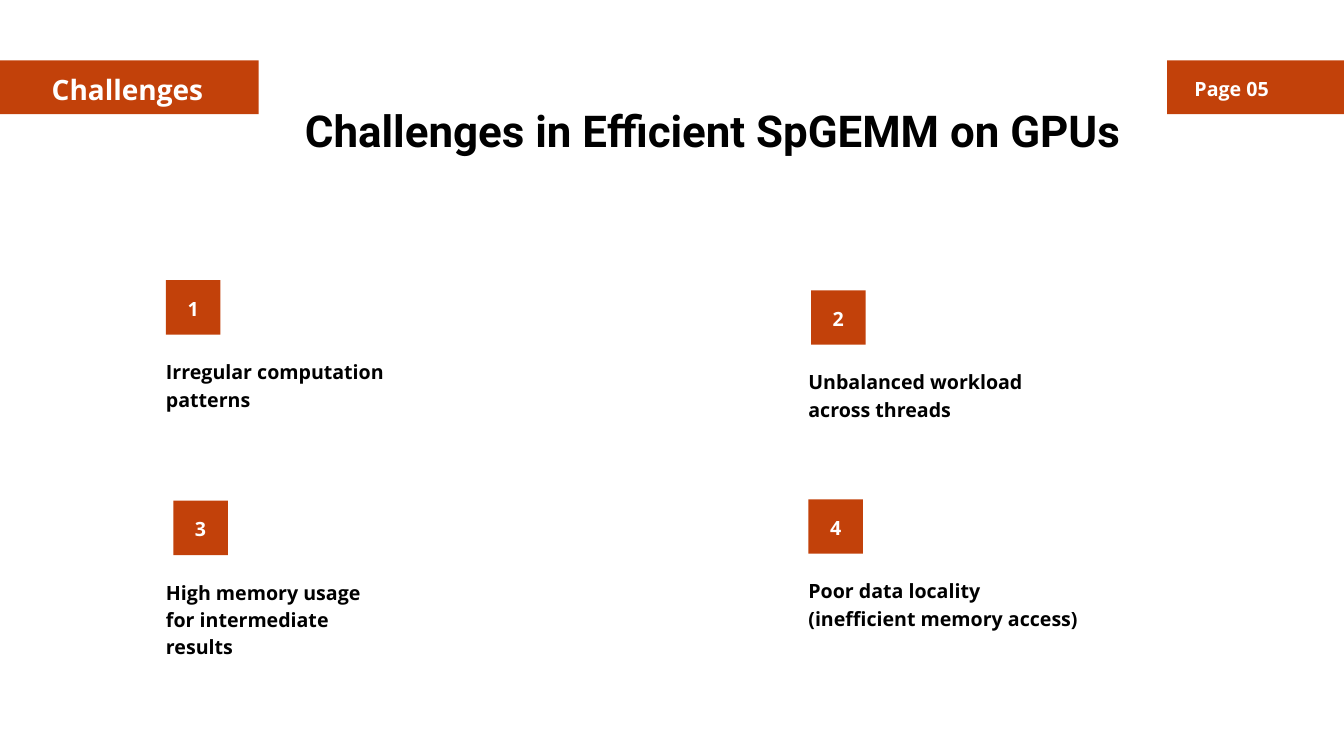
from pptx import Presentation
from pptx.dml.color import RGBColor
from pptx.enum.shapes import MSO_SHAPE
from pptx.enum.text import MSO_ANCHOR, MSO_AUTO_SIZE, PP_ALIGN
from pptx.util import Pt

ORANGE = RGBColor(0xC2, 0x41, 0x0A)
WHITE = RGBColor(0xFF, 0xFF, 0xFF)
BLACK = RGBColor(0x00, 0x00, 0x00)

deck = Presentation()
deck.slide_width, deck.slide_height = Pt(1440), Pt(810)
page = deck.slides.add_slide(deck.slide_layouts[5])


def add_block(left, top, width, height):
    block = page.shapes.add_shape(
        MSO_SHAPE.RECTANGLE, Pt(left), Pt(top), Pt(width), Pt(height))
    block.shadow.inherit = False
    block.fill.solid()
    block.fill.fore_color.rgb = ORANGE
    block.line.fill.background()


def write(text, left, top, width, height, size=21, spacing=29.4,
          color=BLACK, align=PP_ALIGN.LEFT, font="Open Sans", box=None):
    if box is None:
        box = page.shapes.add_textbox(0, 0, 0, 0)
    box.left, box.top, box.width, box.height = Pt(left), Pt(top), Pt(width), Pt(height)
    frame = box.text_frame
    frame.text = text
    frame.word_wrap = True
    frame.auto_size = MSO_AUTO_SIZE.SHAPE_TO_FIT_TEXT
    frame.vertical_anchor = MSO_ANCHOR.TOP
    frame.margin_left = frame.margin_top = frame.margin_right = frame.margin_bottom = 0
    para = frame.paragraphs[0]
    para.alignment = align
    para.line_spacing = Pt(spacing)
    para.space_before = Pt(0)
    span = para.runs[0]
    span.font.name = font
    span.font.size = Pt(size)
    span.font.bold = True
    span.font.color.rgb = color


# Header: section tab, page tab and title
add_block(0, 64.8, 277.2, 57.6)
write("Challenges", 55.44, 72, 221.76, 38.88, size=30, spacing=42, color=WHITE)
add_block(1250.64, 64.8, 189.36, 57.6)
write("Page 05", 1250.64, 77.76, 108.72, 28.08, color=WHITE, align=PP_ALIGN.RIGHT)
write("Challenges in Efficient SpGEMM on GPUs", 301.68, 110.88, 924.48, 112.32,
      size=47, spacing=56.4, align=PP_ALIGN.CENTER, font="Roboto",
      box=page.shapes.title)

# Numbered challenges: square left and top, caption left and width, caption
SQUARE = 58.32
challenges = [
    (177.84, 300.24, 177.84, 279.36, "Irregular computation patterns"),
    (869.04, 311.04, 866.16, 295.2, "Unbalanced workload across threads"),
    (185.76, 536.4, 177.84, 238.32, "High memory usage for intermediate results"),
    (866.16, 534.96, 866.16, 295.2, "Poor data locality (inefficient memory access)"),
]
for number, (left, top, caption_left, caption_width, caption) in enumerate(challenges, 1):
    add_block(left, top, SQUARE, SQUARE)
    write(str(number), left + 5.76, top + 13.68, 46.8, 28.08,
          color=WHITE, align=PP_ALIGN.CENTER)
    write(caption, caption_left, top + 81.36, caption_width, 57.6)

deck.save("out.pptx")
